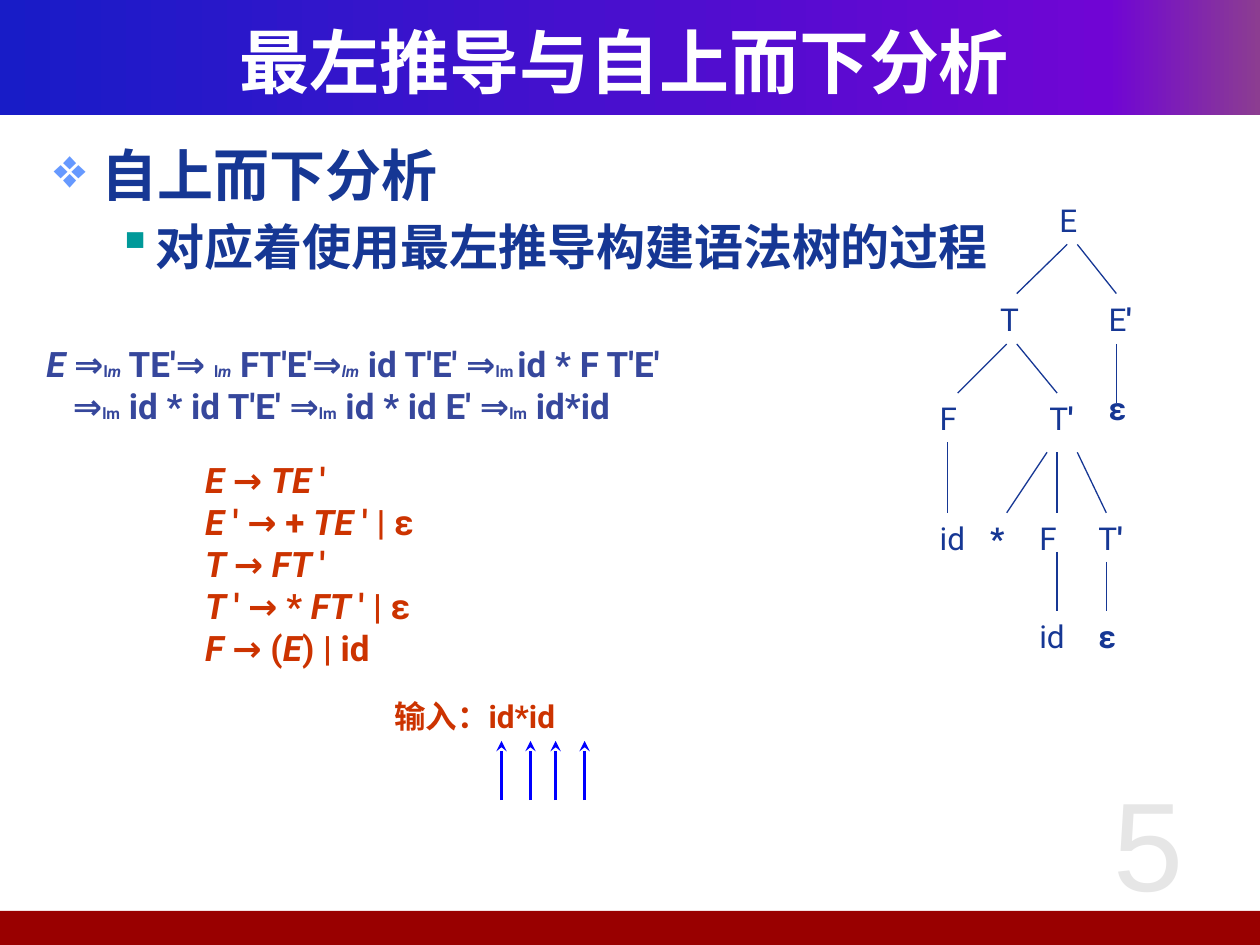
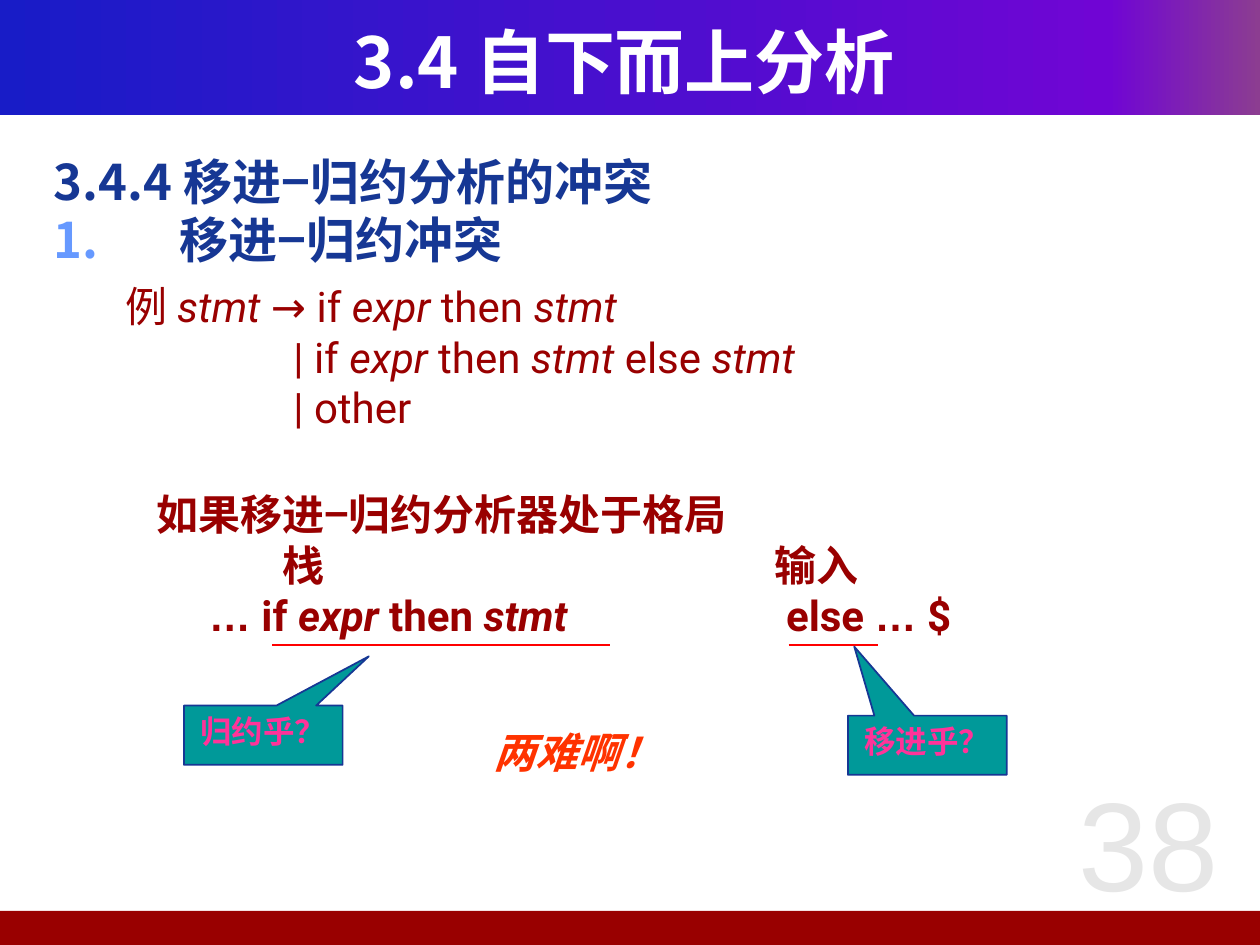
from itertools import groupby

from lxml import etree
from pptx import Presentation
from pptx.dml.color import RGBColor
from pptx.enum.shapes import MSO_CONNECTOR as CONN, MSO_SHAPE as SHAPE
from pptx.enum.text import MSO_ANCHOR as ANCHOR, PP_ALIGN as ALIGN
from pptx.oxml.ns import qn
from pptx.util import Inches, Pt

CJK, LATIN, PLAIN = "Noto Sans CJK SC", "Roboto", "Arial"
NAVY, INDIGO, BRICK, MAROON = "163794", "36479C", "CC3300", "990000"
WHITE, GREY, TEAL, PINK = "FFFFFF", "E6E6E6", "009999", "FF3399"
SKY, BLUE, RED, ORANGE = "6699FF", "0000FF", "FF0000", "FF3300"
BAND_STOPS = [(0, "181CC7"), (88, "7005D4"), (100, "8C3D91")]


def rgb(value):
    return RGBColor.from_string(value)


def sub(parent, tag, **attrs):
    return etree.SubElement(parent, qn(tag), attrs)


# ---- text ----
def add_runs(p, text, size, color, font=LATIN, bold=False):
    """Write text into p: _ switches italics, ~ switches 9 pt subscripts."""
    italic = small = False
    marked = []
    for ch in text:
        if ch == "_":
            italic = not italic
        elif ch == "~":
            small = not small
        else:
            marked.append((ch, (italic, small, ch == "…")))
    for (slanted, tiny, dots), chars in groupby(marked, lambda m: m[1]):
        r = p.add_run()
        r.text = "".join(ch for ch, _ in chars)
        f = r.font
        f.size = Pt(9 if tiny else size)
        f.name = PLAIN if dots else font
        f.bold, f.italic = bold, slanted
        f.color.rgb = rgb(color)
        sub(r._r.get_or_add_rPr(), "a:ea", typeface=CJK)


def add_text(slide, box, lines, size, color, align=ALIGN.LEFT,
             anchor=ANCHOR.TOP, **style):
    sp = slide.shapes.add_textbox(*map(Inches, box))
    tf = sp.text_frame
    tf.word_wrap = True
    tf.vertical_anchor = anchor
    for i, line in enumerate(lines):
        p = tf.paragraphs[0] if i == 0 else tf.add_paragraph()
        p.alignment = align
        add_runs(p, line, size, color, **style)
    return tf.paragraphs


def set_indent(p, left, first=0):
    pPr = p._p.get_or_add_pPr()
    pPr.set("marL", str(Inches(left)))
    pPr.set("indent", str(Inches(first)))
    return pPr


def set_bullet(p, left, hang, color, tag, **attrs):
    pPr = set_indent(p, left, -hang)
    sub(sub(pPr, "a:buClr"), "a:srgbClr", val=color)
    sub(pPr, tag, **attrs)


def set_tabs(p, *stops):
    tabs = sub(p._p.get_or_add_pPr(), "a:tabLst")
    for stop in stops:
        sub(tabs, "a:tab", pos=str(Inches(stop)), algn="l")


# ---- shapes ----
def add_line(slide, x1, y1, x2, y2, color=NAVY, width=0.75, arrow=False):
    line = slide.shapes.add_connector(
        CONN.STRAIGHT, *map(Inches, (x1, y1, x2, y2)))
    line.line.color.rgb = rgb(color)
    line.line.width = Pt(width)
    if arrow:
        sub(line.line._get_or_add_ln(), "a:tailEnd", type="stealth")
    sub(line._element.spPr, "a:effectLst")


def add_band(slide, box):
    sp = slide.shapes.add_shape(SHAPE.RECTANGLE, *map(Inches, box))
    sp.shadow.inherit = False
    sp.line.fill.background()
    return sp.fill


def add_callout(slide, box, text, tip):
    sp = slide.shapes.add_shape(SHAPE.RECTANGULAR_CALLOUT, *map(Inches, box))
    sp.adjustments[0], sp.adjustments[1] = tip
    sp.shadow.inherit = False
    sp.fill.solid()
    sp.fill.fore_color.rgb = rgb(TEAL)
    sp.line.color.rgb = rgb(NAVY)
    sp.line.width = Pt(1)
    tf = sp.text_frame
    tf.vertical_anchor = ANCHOR.TOP
    p = tf.paragraphs[0]
    p.alignment = ALIGN.CENTER
    add_runs(p, text, 18, PINK, bold=True)


def add_frame(prs, title, number):
    """New slide with title band, footer band, page number and title."""
    slide = prs.slides.add_slide(prs.slide_layouts[6])
    fill = add_band(slide, (0, 0, 10, 0.91))
    fill.gradient()
    fill.gradient_angle = 0
    stops = fill._xPr.find(qn("a:gradFill")).find(qn("a:gsLst"))
    for old in list(stops):
        stops.remove(old)
    for percent, color in BAND_STOPS:
        stop = sub(stops, "a:gs", pos=str(percent * 1000))
        sub(stop, "a:srgbClr", val=color)
    fill = add_band(slide, (-0.04, 7.23, 10.04, 0.27))
    fill.solid()
    fill.fore_color.rgb = rgb(MAROON)
    add_text(slide, (8.23, 6.03, 1.77, 1.42), [number], 72, GREY,
             ALIGN.CENTER, font=PLAIN)
    add_text(slide, (0.33, 0.17, 9.25, 0.62), [title], 40, WHITE,
             ALIGN.CENTER, ANCHOR.MIDDLE, font=CJK, bold=True)
    return slide


# ---- slide 1: top-down parsing ----
def add_topic(slide, box):
    head, point = add_text(slide, box, ["自上而下分析"], 32, NAVY,
                           font=CJK, bold=True)[0], None
    set_bullet(head, 0.38, 0.38, SKY, "a:buChar", char="❖")
    x, y, w, h = box
    point = add_text(slide, (x, y + 0.6, w, h), ["对应着使用最左推导构建语法树的过程"],
                     28, NAVY, font=CJK, bold=True)[0]
    set_bullet(point, 0.81, 0.31, TEAL, "a:buChar", char="▪")


def add_parse_tree(slide, left, top):
    nodes = [  # label, x, y, bold
        ("E", 0.95, 0, False), ("T", 0.48, 0.78, False),
        ("E′", 1.34, 0.78, False), ("F", 0, 1.57, False),
        ("T′", 0.87, 1.57, False), ("ε", 1.34, 1.49, True),
        ("id", 0, 2.52, False), ("*", 0.4, 2.52, True),
        ("F", 0.79, 2.52, False), ("T′", 1.26, 2.52, False),
        ("id", 0.79, 3.3, False), ("ε", 1.26, 3.3, True)]
    branches = [  # x1, y1, x2, y2
        (1.11, 0.39, 0.71, 0.78), (1.19, 0.39, 1.5, 0.78),
        (0.63, 1.18, 0.24, 1.57), (0.71, 1.18, 1.03, 1.57),
        (1.5, 1.18, 1.5, 1.65), (0.16, 1.96, 0.16, 2.52),
        (0.95, 2.04, 0.63, 2.52), (1.03, 2.04, 1.03, 2.52),
        (1.19, 2.04, 1.42, 2.52), (1.03, 2.83, 1.03, 3.3),
        (1.42, 2.91, 1.42, 3.3)]
    for x1, y1, x2, y2 in branches:
        add_line(slide, left + x1, top + y1, left + x2, top + y2)
    for label, x, y, bold in nodes:
        p = add_text(slide, (left + x, top + y, 0.47, 0.4), [label], 18,
                     NAVY, bold=bold)[0]
        if label.endswith("′"):
            p.runs[0].text = label[0]
            add_runs(p, "′", 18, NAVY, bold=True)


def add_input(slide, left, top):
    add_text(slide, (left, top, 1.77, 0.4), ["输入：id*id"], 18, BRICK, bold=True)
    for x in (0.95, 1.18, 1.38, 1.61):  # reading positions
        add_line(slide, left + x, top + 0.87, left + x, top + 0.4,
                 BLUE, 2, arrow=True)


def top_down_slide(prs):
    slide = add_frame(prs, "最左推导与自上而下分析", "5")
    add_topic(slide, (0.33, 1.07, 9, 0.6))
    add_text(slide, (1.53, 3.59, 2.56, 1.77),
             ["_E _→ _TE _′", "_E _′ → + _TE _′ | ε", "_T _→ _FT _′",
              "_T _′ → * _FT _′ | ε", "_F _→ (_E_) | id"],
             20, BRICK, bold=True)
    derivation = add_text(
        slide, (0.27, 2.67, 6.12, 0.77),
        ["_E _⇒~l_m_~ TE′⇒ ~l_m_~ FT′E′⇒~_lm_~ id T′E′ ⇒~lm ~id * F T′E′",
         "⇒~lm~ id * id T′E′ ⇒~lm~ id * id E′ ⇒~lm~ id*id"],
        20, INDIGO, bold=True)
    set_indent(derivation[1], 0.21)
    add_parse_tree(slide, 7.36, 1.55)
    add_input(slide, 3.03, 5.48)


# ---- slide 2: shift-reduce conflict ----
def add_grammar(slide, box):
    lines = add_text(slide, box,
                     ["例 _stmt _→ if _expr_ then _stmt_",
                      "\t| if _expr_ then _stmt_ else _stmt_",
                      "\t| other"], 24, MAROON)
    for p in lines[1:]:
        set_tabs(p, 1.33)


def add_configuration(slide, left, top):
    lines = add_text(slide, (left, top, 6.61, 1.3),
                     ["如果移进−归约分析器处于格局", "\t栈\t输入",
                      "\t… if _expr_ then _stmt_\telse … $"],
                     24, MAROON, bold=True)
    set_tabs(lines[1], 1, 4.91)
    set_tabs(lines[2], 0.42, 5)
    # handle and lookahead underlines
    for start, end in ((1.02, 3.7), (5.12, 5.83)):
        add_line(slide, left + start, top + 1.29, left + end, top + 1.29, RED, 1)
    add_callout(slide, (left + 0.32, top + 1.77, 1.26, 0.47), "归约乎？",
                (0.665, -1.331))
    add_callout(slide, (left + 5.59, top + 1.85, 1.26, 0.47), "移进乎？",
                (-0.46, -1.665))
    add_text(slide, (left + 2.68, top + 1.89, 1.65, 0.5), ["_两难啊！_"],
             24, ORANGE, bold=True)


def conflict_slide(prs):
    slide = add_frame(prs, "3.4 自下而上分析", "38")
    item = add_text(slide, (0.33, 1.15, 9.33, 1),
                    ["3.4.4 移进−归约分析的冲突", "移进−归约冲突"],
                    28, NAVY, font=CJK, bold=True)[1]
    set_bullet(item, 1, 1, SKY, "a:buAutoNum", type="arabicPeriod")
    add_grammar(slide, (0.9, 2.18, 5.79, 1.31))
    add_configuration(slide, 1.14, 3.83)


def main():
    prs = Presentation()
    prs.slide_width, prs.slide_height = Inches(10), Inches(7.5)
    top_down_slide(prs)
    conflict_slide(prs)
    prs.save("out.pptx")


if __name__ == "__main__":
    main()
